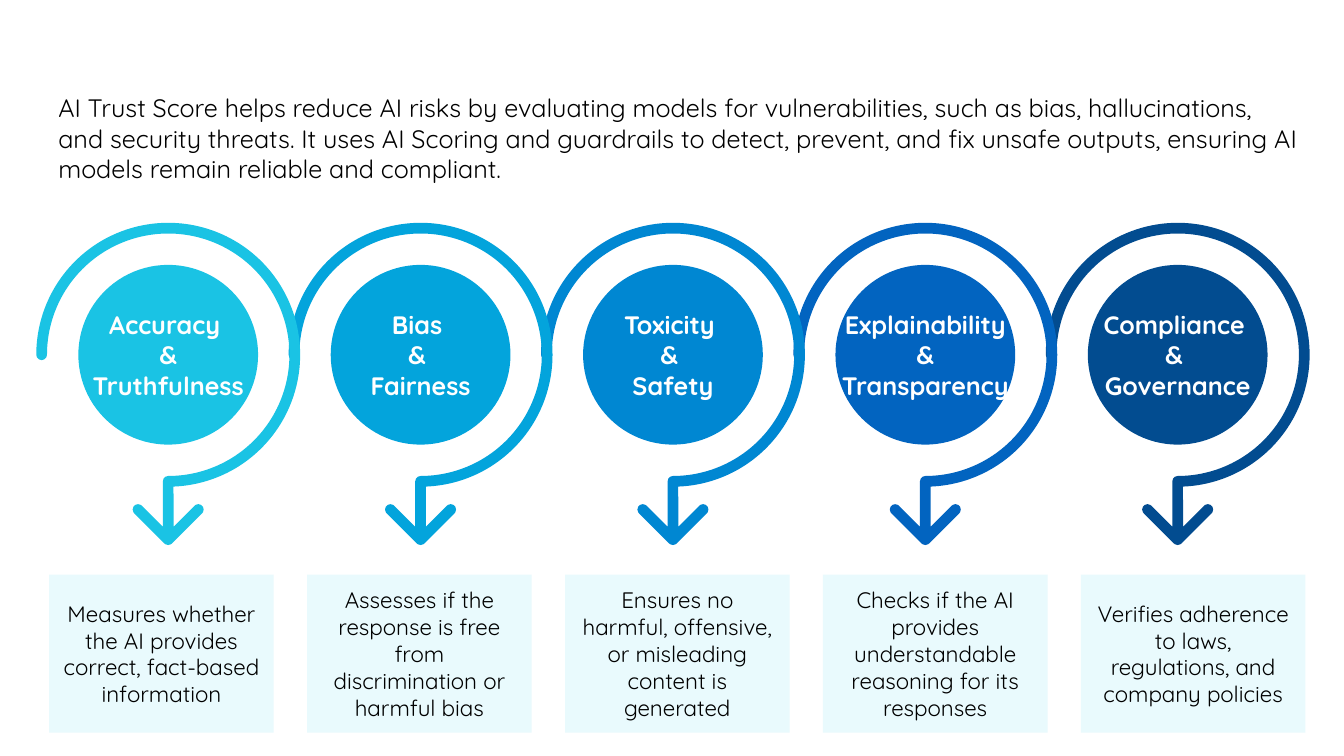
"""Build a slide on the five dimensions of an AI trust score."""
from dataclasses import dataclass
from itertools import pairwise
from math import cos, radians, sin, sqrt

from lxml.etree import Element
from pptx import Presentation
from pptx.dml.color import RGBColor
from pptx.enum.shapes import MSO_SHAPE
from pptx.enum.text import MSO_ANCHOR, PP_ALIGN
from pptx.oxml.ns import qn
from pptx.shapes.autoshape import Shape
from pptx.slide import Slide
from pptx.util import Cm, Pt

FONT = "Quicksand"
CENTRE_Y = 8.94
FIRST_CENTRE, CENTRE_STEP = 4.24, 6.36
FIRST_CARD, CARD_STEP = 1.24, 6.5
DISC_SIZE = 4.53
LABEL_WIDTH = 4.9
RING_RADIUS = 3.19
HALF_STROKE = 0.135
ARM_X, ARM_Y = 0.76, 3.9
INTRO = (
    "AI Trust Score helps reduce AI risks by evaluating models for "
    "vulnerabilities, such as bias, hallucinations, and security threats. "
    "It uses AI Scoring and guardrails to detect, prevent, and fix unsafe "
    "outputs, ensuring AI models remain reliable and compliant."
)


@dataclass(frozen=True)
class Dimension:
    label: tuple[str, ...]
    description: str
    color: str


@dataclass(frozen=True)
class Step:
    x: float
    y: float
    radius: float = 0
    start: float = 0
    sweep: float = 0


DIMENSIONS = [
    Dimension(("Accuracy ", "& Truthfulness"),
              "Measures whether the AI provides correct, fact-based information",
              "1AC3E4"),
    Dimension(("Bias ", "& ", "Fairness"),
              "Assesses if the response is free from discrimination or harmful bias",
              "03A4DC"),
    Dimension(("Toxicity ", "& ", "Safety"),
              "Ensures no harmful, offensive, or misleading content is generated",
              "0087D2"),
    Dimension(("Explainability & Transparency",),
              "Checks if the AI provides understandable reasoning for its responses",
              "0264C0"),
    Dimension(("Compliance ", "& ", "Governance"),
              "Verifies adherence to laws, regulations, and company policies",
              "024C90"),
]


def rgb(color: str) -> RGBColor:
    return RGBColor.from_string(color)


def paint(shape: Shape, color: str) -> None:
    shape.shadow.inherit = False
    shape.fill.solid()
    shape.fill.fore_color.rgb = rgb(color)
    shape.line.fill.background()


def write(shape: Shape, lines: tuple[str, ...], size: float, color: str,
          bold: bool = False, centred: bool = True) -> None:
    frame = shape.text_frame
    frame.word_wrap = True
    if centred:
        frame.vertical_anchor = MSO_ANCHOR.MIDDLE
        frame.margin_left = frame.margin_right = Cm(0.33)
        frame.margin_top = frame.margin_bottom = Cm(0.33)
    frame.text = "\n".join(lines)
    for paragraph in frame.paragraphs:
        paragraph.alignment = PP_ALIGN.CENTER if centred else PP_ALIGN.LEFT
        paragraph.font.name = FONT
        paragraph.font.size = Pt(size)
        paragraph.font.bold = bold
        paragraph.font.color.rgb = rgb(color)


def arc(x: float, y: float, radius: float, *angles: float) -> list[Step]:
    ends = [(x + radius * cos(radians(a)), y - radius * sin(radians(a)))
            for a in angles]
    turns = [(radius, -start % 360, start - end) for start, end in pairwise(angles)]
    return [Step(*ends[0])] + [Step(*end, *turn) for end, turn in zip(ends[1:], turns)]


def ring_outline() -> list[Step]:
    tip_y = ARM_Y + ARM_X
    notch_y = tip_y - HALF_STROKE * (1 + sqrt(2))
    return [
        *arc(0, 0, RING_RADIUS + HALF_STROKE, 180, 90, 0, -87.7),
        Step(HALF_STROKE, notch_y),
        *arc(ARM_X, ARM_Y, HALF_STROKE, 135, 0, -45),
        *arc(0, tip_y, HALF_STROKE, -45, -90, -135),
        *arc(-ARM_X, ARM_Y, HALF_STROKE, 225, 45),
        Step(-HALF_STROKE, notch_y),
        *arc(0, RING_RADIUS, HALF_STROKE, 180, 90),
        *arc(0, 0, RING_RADIUS - HALF_STROKE, -90, 0, 90, 180),
        *arc(-RING_RADIUS, 0, HALF_STROKE, 0, -180),
    ]


def draw_ring(slide: Slide, centre_x: float, color: str) -> None:
    outline = ring_outline()
    corners = [(Cm(centre_x + step.x), Cm(CENTRE_Y + step.y)) for step in outline]
    builder = slide.shapes.build_freeform(*corners[0])
    builder.add_line_segments(corners[1:], close=True)
    ring = builder.convert_to_shape()
    segments = list(ring.element.iter(qn("a:lnTo")))
    for segment, step in zip(segments, outline[1:]):
        if step.radius:
            curve = Element(qn("a:arcTo"))
            curve.set("wR", str(Cm(step.radius)))
            curve.set("hR", str(Cm(step.radius)))
            curve.set("stAng", str(round(step.start * 60000)))
            curve.set("swAng", str(round(step.sweep * 60000)))
            segment.getparent().replace(segment, curve)
    paint(ring, color)


def draw_dimension(slide: Slide, index: int, dimension: Dimension) -> None:
    centre_x = FIRST_CENTRE + index * CENTRE_STEP
    draw_ring(slide, centre_x, dimension.color)
    top = Cm(CENTRE_Y - DISC_SIZE / 2)
    disc = slide.shapes.add_shape(
        MSO_SHAPE.OVAL, Cm(centre_x - DISC_SIZE / 2), top,
        Cm(DISC_SIZE), Cm(DISC_SIZE))
    paint(disc, dimension.color)
    label = slide.shapes.add_textbox(
        Cm(centre_x - LABEL_WIDTH / 2), top, Cm(LABEL_WIDTH), Cm(DISC_SIZE))
    write(label, dimension.label, 18, "FFFFFF", bold=True)
    card = slide.shapes.add_shape(
        MSO_SHAPE.RECTANGLE, Cm(FIRST_CARD + index * CARD_STEP), Cm(14.48),
        Cm(5.66), Cm(3.98))
    paint(card, "E9FAFD")
    write(card, (dimension.description,), 16, "000000")


def main() -> None:
    deck = Presentation()
    deck.slide_width, deck.slide_height = Cm(33.87), Cm(19.05)
    slide = deck.slides.add_slide(deck.slide_layouts[6])
    intro = slide.shapes.add_textbox(Cm(1.22), Cm(2.21), Cm(31.85), Cm(2.57))
    write(intro, (INTRO,), 18, "000000", centred=False)
    for index, dimension in reversed(list(enumerate(DIMENSIONS))):
        draw_dimension(slide, index, dimension)
    deck.save("out.pptx")


if __name__ == "__main__":
    main()
